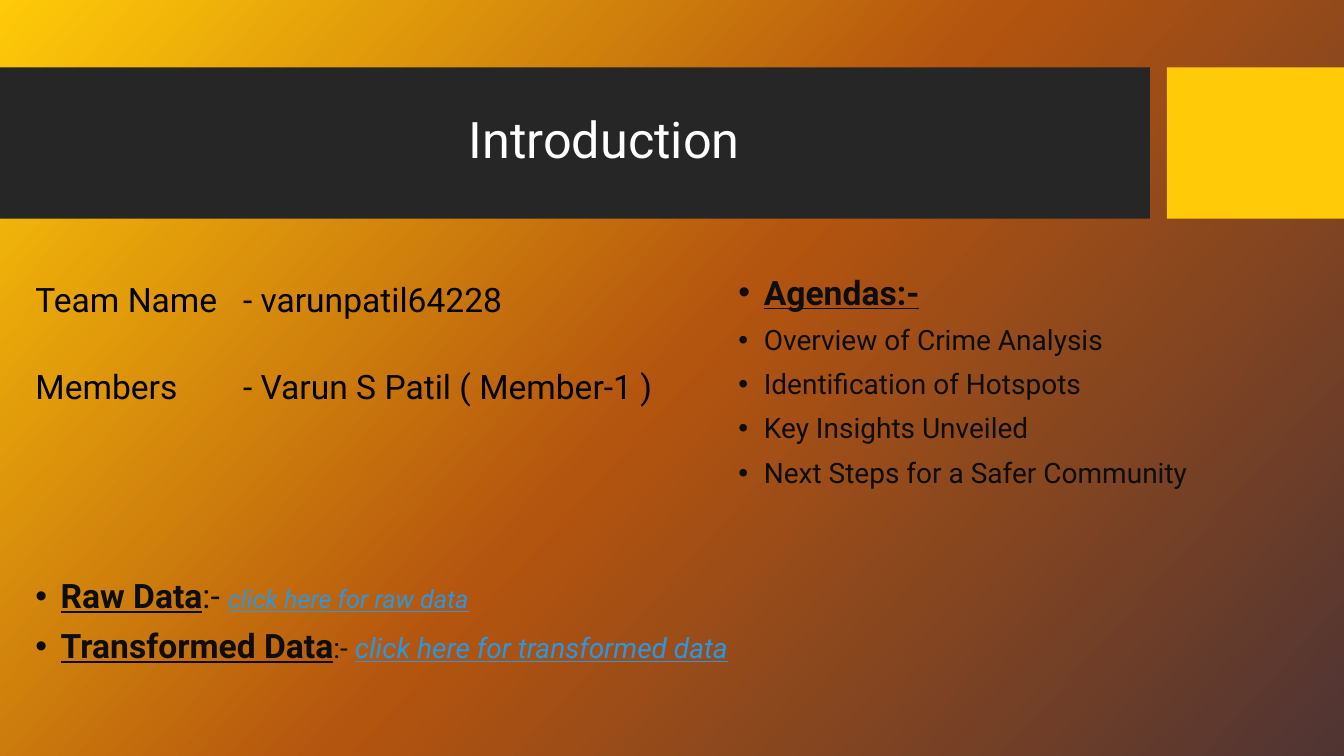
"""Builds the introduction slide of a crime analysis deck."""
from lxml import etree
from pptx import Presentation
from pptx.dml.color import RGBColor
from pptx.enum.shapes import MSO_SHAPE
from pptx.enum.text import MSO_ANCHOR, PP_ALIGN
from pptx.oxml import parse_xml
from pptx.oxml.ns import nsdecls, qn
from pptx.util import Cm, Pt

RECTANGLE = MSO_SHAPE.RECTANGLE
MIDDLE = MSO_ANCHOR.MIDDLE
CENTER = PP_ALIGN.CENTER

FONT = "Roboto"
COLORS = {"band": "262626", "accent": "FFCA08", "rust": "B3540F", "plum": "4F3434",
          "title": "FFFFFF", "team": "000000", "body": "0D0D0D", "link": "2998E3"}
GRADIENT = [(0, "accent"), (50, "rust"), (100, "plum")]
GRADIENT_ANGLE = 42
NO_GRID_STYLE = "{2D5ABB26-0587-4C30-8999-92F81FD0307C}"

TITLE = "Introduction"
TEAM = [("Team Name", "- varunpatil64228"),
        ("Members", "- Varun S Patil ( Member-1 )")]

HEADING, PLAIN, LINK = "heading", "plain", "link"
AGENDA = [[("Agendas:-", 24, HEADING)]] + [
    [(topic, 20, PLAIN)] for topic in (
        "Overview of Crime Analysis",
        "Identification of Hotspots",
        "Key Insights Unveiled",
        "Next Steps for a Safer Community")]
DATA_LINKS = [
    [("Raw Data", 24, HEADING), (":- ", 24, PLAIN),
     ("click here for raw data", 18, LINK)],
    [("Transformed Data", 24, HEADING), (":- ", 20, PLAIN),
     ("click here for transformed data", 20, LINK)],
]

SLIDE_SIZE = (Cm(33.87), Cm(19.05))
BAND_TOP, BAND_HEIGHT = Cm(1.7), Cm(3.81)
BANDS = [(Cm(0), Cm(28.98), "band"), (Cm(29.41), Cm(4.46), "accent")]
TITLE_BOX = (Cm(1.88), Cm(2.08), Cm(26.7), Cm(3))
TEAM_BOX = (Cm(0.64), Cm(6.96), Cm(16.28), Cm(4.4))
TEAM_COLUMNS = (Cm(5.23), Cm(11.05))
BULLET_LISTS = [
    (DATA_LINKS, (Cm(0.64), Cm(14.48), Cm(18.95), Cm(3.61))),
    (AGENDA, (Cm(18.36), Cm(6.83), Cm(12.37), Cm(6.38))),
]
INDENT = Cm(0.64)


def set_font(font, size, color):
    font.name = FONT
    font.size = Pt(size)
    font.color.rgb = RGBColor.from_string(COLORS[color])


def paint_background(slide):
    stops = "".join(f'<a:gs pos="{percent * 1000}"><a:srgbClr val="{COLORS[color]}"/></a:gs>'
                    for percent, color in GRADIENT)
    background = parse_xml(
        f'<p:bg {nsdecls("p", "a")}><p:bgPr><a:gradFill rotWithShape="1">'
        f'<a:gsLst>{stops}</a:gsLst><a:lin ang="{GRADIENT_ANGLE * 60000}" scaled="0"/>'
        '</a:gradFill><a:effectLst/></p:bgPr></p:bg>')
    slide.element.cSld.insert(0, background)


def add_title(slide):
    title = slide.shapes.title
    for left, width, color in BANDS:
        band = slide.shapes.add_shape(RECTANGLE, left, BAND_TOP, width, BAND_HEIGHT)
        band.shadow.inherit = False
        band.fill.solid()
        band.fill.fore_color.rgb = RGBColor.from_string(COLORS[color])
        band.line.fill.background()
        title.element.addprevious(band.element)
    title.left, title.top, title.width, title.height = TITLE_BOX
    title.text_frame.text = TITLE
    title.text_frame.vertical_anchor = MIDDLE
    heading = title.text_frame.paragraphs[0]
    heading.alignment = CENTER
    heading.line_spacing = 0.9
    set_font(heading.font, 36, "title")


def add_team(slide):
    frame = slide.shapes.add_table(len(TEAM), len(TEAM_COLUMNS), *TEAM_BOX)
    team = frame.table
    team.first_row = team.horz_banding = False
    team._tbl.tblPr.find(qn("a:tableStyleId")).text = NO_GRID_STYLE
    for column, width in zip(team.columns, TEAM_COLUMNS):
        column.width = width
    for row, entry in enumerate(TEAM):
        for column, wording in enumerate(entry):
            cell = team.cell(row, column)
            cell.fill.background()
            cell.text = wording
            set_font(cell.text_frame.paragraphs[0].font, 24, "team")


def add_bullets(slide, items, box):
    frame = slide.shapes.add_textbox(*box).text_frame
    frame.word_wrap = True
    for index, pieces in enumerate(items):
        item = frame.paragraphs[0] if index == 0 else frame.add_paragraph()
        item.line_spacing = 0.9
        if index:
            item.space_before = Pt(10)
        properties = item._p.get_or_add_pPr()
        properties.set("marL", str(INDENT))
        properties.set("indent", str(-INDENT))
        etree.SubElement(properties, qn("a:buFont"), typeface="Arial")
        etree.SubElement(properties, qn("a:buChar"), char="•")
        for wording, size, style in pieces:
            piece = item.add_run()
            piece.text = wording
            set_font(piece.font, size, "link" if style == LINK else "body")
            piece.font.bold = style == HEADING
            piece.font.italic = style == LINK
            piece.font.underline = style != PLAIN


def main():
    deck = Presentation()
    deck.slide_width, deck.slide_height = SLIDE_SIZE
    slide = deck.slides.add_slide(deck.slide_layouts[5])
    paint_background(slide)
    add_title(slide)
    add_team(slide)
    for items, box in BULLET_LISTS:
        add_bullets(slide, items, box)
    deck.save("out.pptx")


if __name__ == "__main__":
    main()
